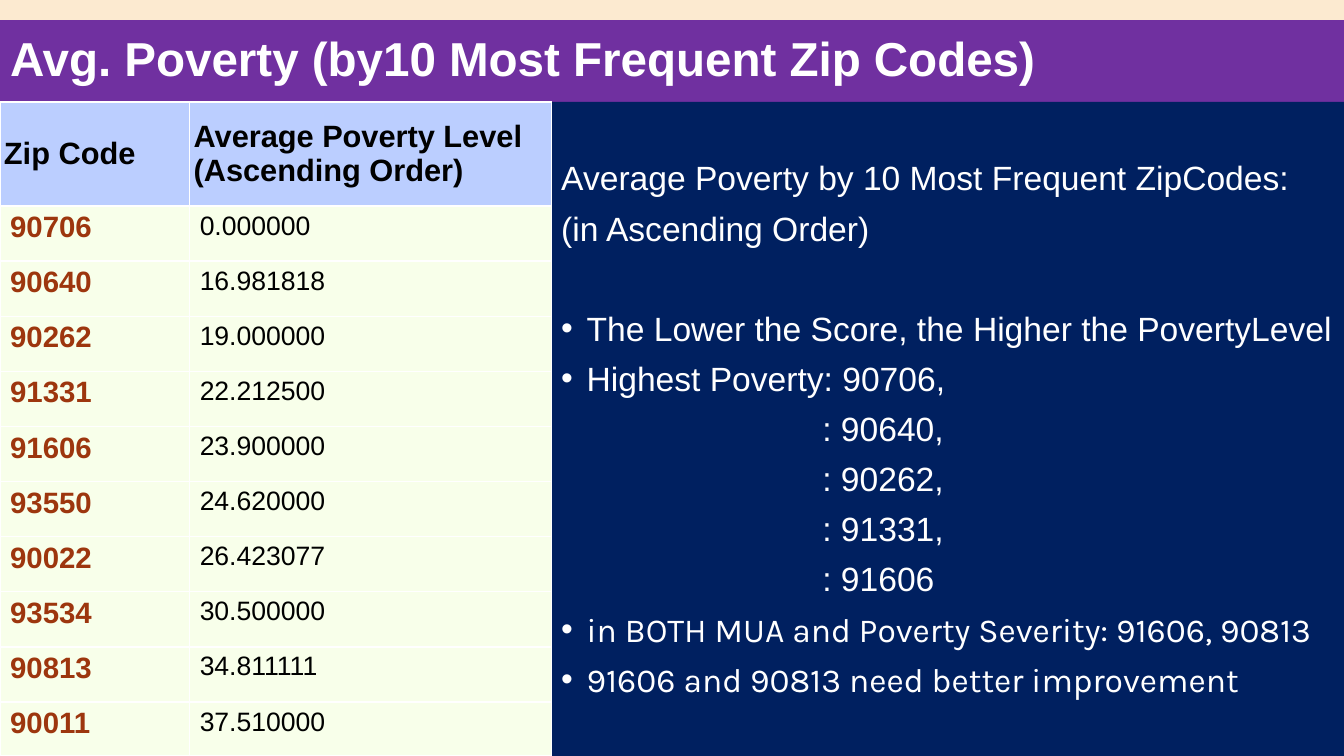
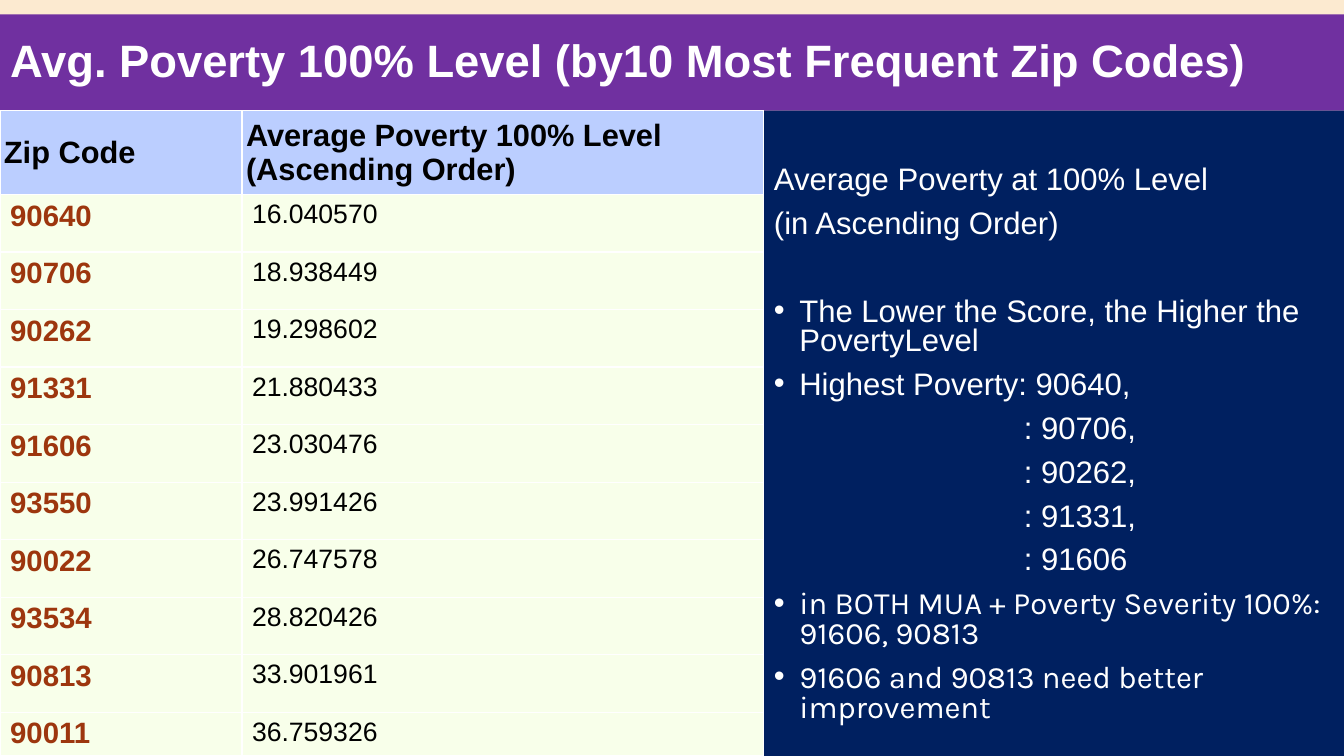
from lxml import etree
from pptx import Presentation
from pptx.dml.color import RGBColor
from pptx.enum import text
from pptx.oxml.ns import qn
from pptx.util import Cm, Pt

WIDTH, HEIGHT = 33.87, 19.05
CREAM, PURPLE, NAVY, WHITE, BLACK = "FCEAD0", "7030A0", "002060", "FFFFFF", "000000"
HEADER_BLUE, PALE_GREEN, RUST = "BBCEFF", "F8FFEA", "9D360E"
HANGING = 0.64  # indent of bulleted text

# Lengths in cm, text sizes and line pitch in points.
SLIDES = [
    dict(
        title="Avg. Poverty (by10 Most Frequent Zip Codes)",
        title_top=0.51, title_size=34, table_top=2.57,
        columns=(4.78, 9.11), header_height=2.62, row_height=1.39,
        value_header=["Average Poverty Level", "(Ascending Order)"],
        rows=[("90706", "0.000000"), ("90640", "16.981818"), ("90262", "19.000000"),
              ("91331", "22.212500"), ("91606", "23.900000"), ("93550", "24.620000"),
              ("90022", "26.423077"), ("93534", "30.500000"), ("90813", "34.811111"),
              ("90011", "37.510000")],
        body_size=24, line=25.8, body_inset=1.5, zip_indent=6.58,
        intro=["Average Poverty by 10 Most Frequent ZipCodes:", "(in Ascending Order)"],
        bullets=["The Lower the Score, the Higher the PovertyLevel", "Highest Poverty: 90706,"],
        zips=[": 90640,", ": 90262,", ": 91331,", ": 91606"],
        findings=["in BOTH MUA and Poverty Severity: 91606, 90813",
                  "91606 and 90813 need better improvement"],
    ),
    dict(
        title="Avg. Poverty 100% Level (by10 Most Frequent Zip Codes)",
        title_top=0.36, title_size=32.4, table_top=2.79,
        columns=(6.1, 13.15), header_height=2.11, row_height=1.45,
        value_header=["Average Poverty 100% Level", "(Ascending Order)"],
        rows=[("90640", "16.040570"), ("90706", "18.938449"), ("90262", "19.298602"),
              ("91331", "21.880433"), ("91606", "23.030476"), ("93550", "23.991426"),
              ("90022", "26.747578"), ("93534", "28.820426"), ("90813", "33.901961"),
              ("90011", "36.759326")],
        body_size=22.2, line=21.3, body_inset=1.42, zip_indent=6.3,
        intro=["Average Poverty at 100% Level", "(in Ascending Order)"],
        bullets=["The Lower the Score, the Higher the PovertyLevel", "Highest Poverty: 90640,"],
        zips=[": 90706,", ": 90262,", ": 91331,", ": 91606"],
        findings=["in BOTH MUA + Poverty Severity 100%: 91606, 90813",
                  "91606 and 90813 need better improvement"],
    ),
]


def rgb(value):
    return RGBColor.from_string(value)


def paint(target, color):
    target.fill.solid()
    target.fill.fore_color.rgb = rgb(color)


def place(sp, left, top, width, height):
    sp.left, sp.top, sp.width, sp.height = map(Cm, (left, top, width, height))


def write(tf, content, size, color=WHITE, font="Arial", bold=False):
    """Fill the first paragraph if it is still empty, otherwise add one."""
    p = tf.paragraphs[0] if not tf.paragraphs[0].runs else tf.add_paragraph()
    p.alignment = text.PP_ALIGN.LEFT
    r = p.add_run()
    r.text = content
    r.font.name, r.font.size, r.font.bold = font, Pt(size), bold
    r.font.color.rgb = rgb(color)
    return p


def set_indent(p, left=0.0, bullet=False):
    pPr = p._p.get_or_add_pPr()
    pPr.set("marL", str(Cm(left)))
    pPr.set("indent", str(Cm(-left if bullet else 0)))
    if bullet:
        etree.SubElement(pPr, qn("a:buFont")).set("typeface", "Arial")
        etree.SubElement(pPr, qn("a:buChar")).set("char", "•")
    else:
        etree.SubElement(pPr, qn("a:buNone"))


def add_title(slide, data):
    sp = slide.shapes.title
    place(sp, 0, data["title_top"], WIDTH, data["table_top"] - data["title_top"])
    paint(sp, PURPLE)
    tf = sp.text_frame
    tf.auto_size, tf.vertical_anchor = text.MSO_AUTO_SIZE.NONE, text.MSO_ANCHOR.MIDDLE
    write(tf, data["title"], data["title_size"], bold=True).line_spacing = 0.9


def add_body(slide, data):
    sp = slide.placeholders[1]
    left, top = sum(data["columns"]), data["table_top"]
    place(sp, left, top, WIDTH - left, HEIGHT - top)
    paint(sp, NAVY)
    tf = sp.text_frame
    tf.auto_size, tf.vertical_anchor = text.MSO_AUTO_SIZE.NONE, text.MSO_ANCHOR.TOP
    tf.margin_top = Cm(data["body_inset"])

    groups = [("intro", 0, False, "Arial"), ("bullets", HANGING, True, "Arial"),
              ("zips", data["zip_indent"], False, "Arial"), ("findings", HANGING, True, "Karla")]
    for group, indent, bullet, font in groups:
        for i, content in enumerate(data[group]):
            p = write(tf, content, data["body_size"], font=font)
            p.line_spacing = Pt(data["line"])
            p.space_before = Pt(10)
            if i == 0 and group == "intro":
                p.space_before = Pt(0)
            elif i == 0 and group == "bullets":
                p.space_before = Pt(20 + data["line"])
            set_indent(p, indent, bullet)


def add_zip_table(slide, data):
    columns, rows, top = data["columns"], data["rows"], data["table_top"]
    heights = [data["header_height"]] + [data["row_height"]] * (len(rows) - 1)
    heights.append(HEIGHT - top - sum(heights))
    table = slide.shapes.add_table(len(heights), len(columns), Cm(0), Cm(top),
                                   Cm(sum(columns)), Cm(HEIGHT - top)).table
    table.horz_banding = False
    for column, width in zip(table.columns, columns):
        column.width = Cm(width)
    for row, height in zip(table.rows, heights):
        row.height = Cm(height)

    for c, lines in enumerate((["Zip Code"], data["value_header"])):
        cell = table.cell(0, c)
        paint(cell, HEADER_BLUE)
        cell.vertical_anchor = text.MSO_ANCHOR.MIDDLE
        cell.margin_left = cell.margin_right = cell.margin_top = cell.margin_bottom = Cm(0.1)
        for line in lines:
            write(cell.text_frame, line, 22, BLACK, bold=True)

    styles = (dict(size=21, color=RUST, bold=True), dict(size=19, color=BLACK))
    for r, values in enumerate(rows, 1):
        for c, (value, style) in enumerate(zip(values, styles)):
            cell = table.cell(r, c)
            paint(cell, PALE_GREEN)
            write(cell.text_frame, value, **style)


def main():
    prs = Presentation()
    prs.slide_width, prs.slide_height = Cm(WIDTH), Cm(HEIGHT)
    paint(prs.slide_master.background, CREAM)
    for data in SLIDES:
        slide = prs.slides.add_slide(prs.slide_layouts[1])
        add_title(slide, data)
        add_body(slide, data)
        add_zip_table(slide, data)
    prs.save("out.pptx")


if __name__ == "__main__":
    main()
